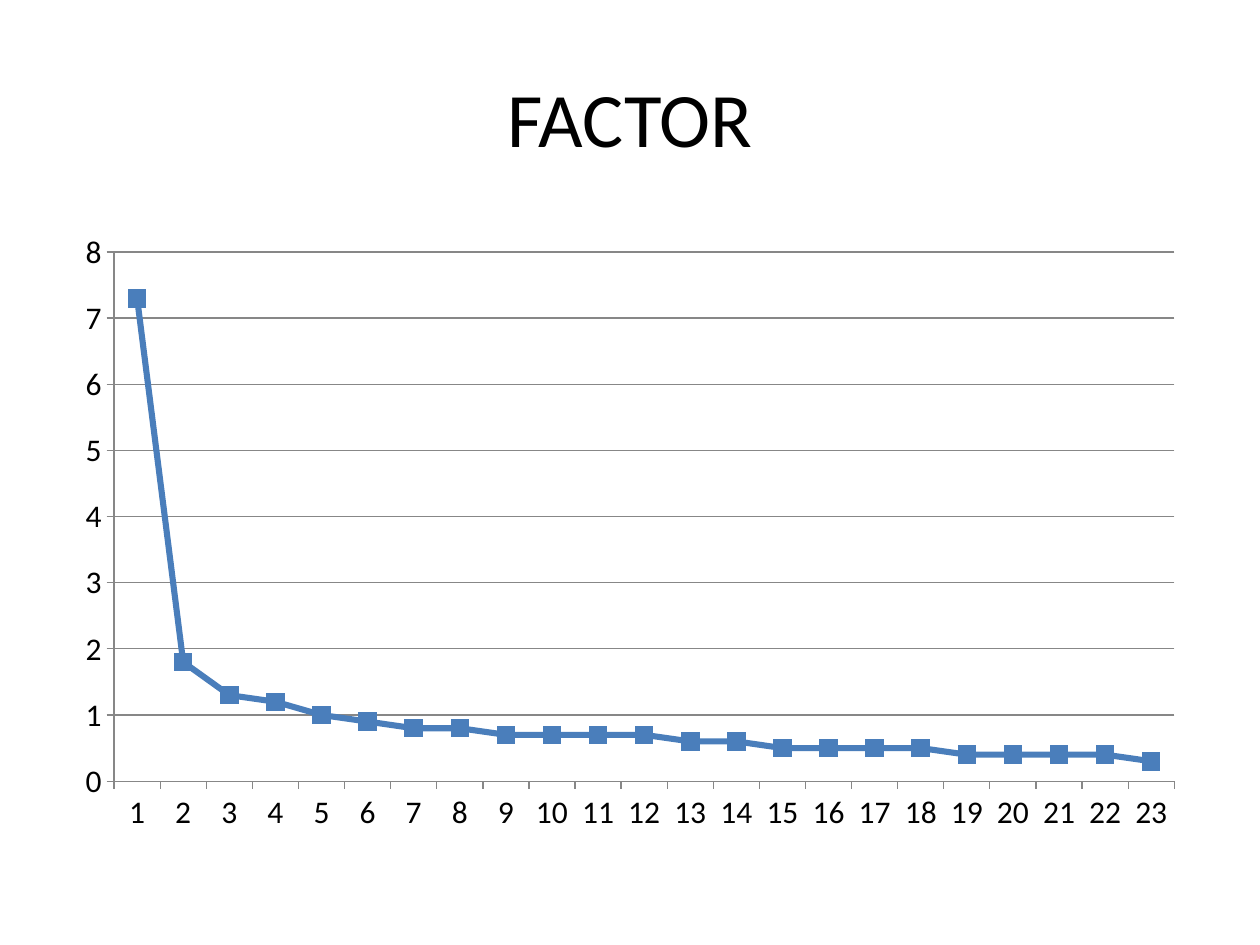
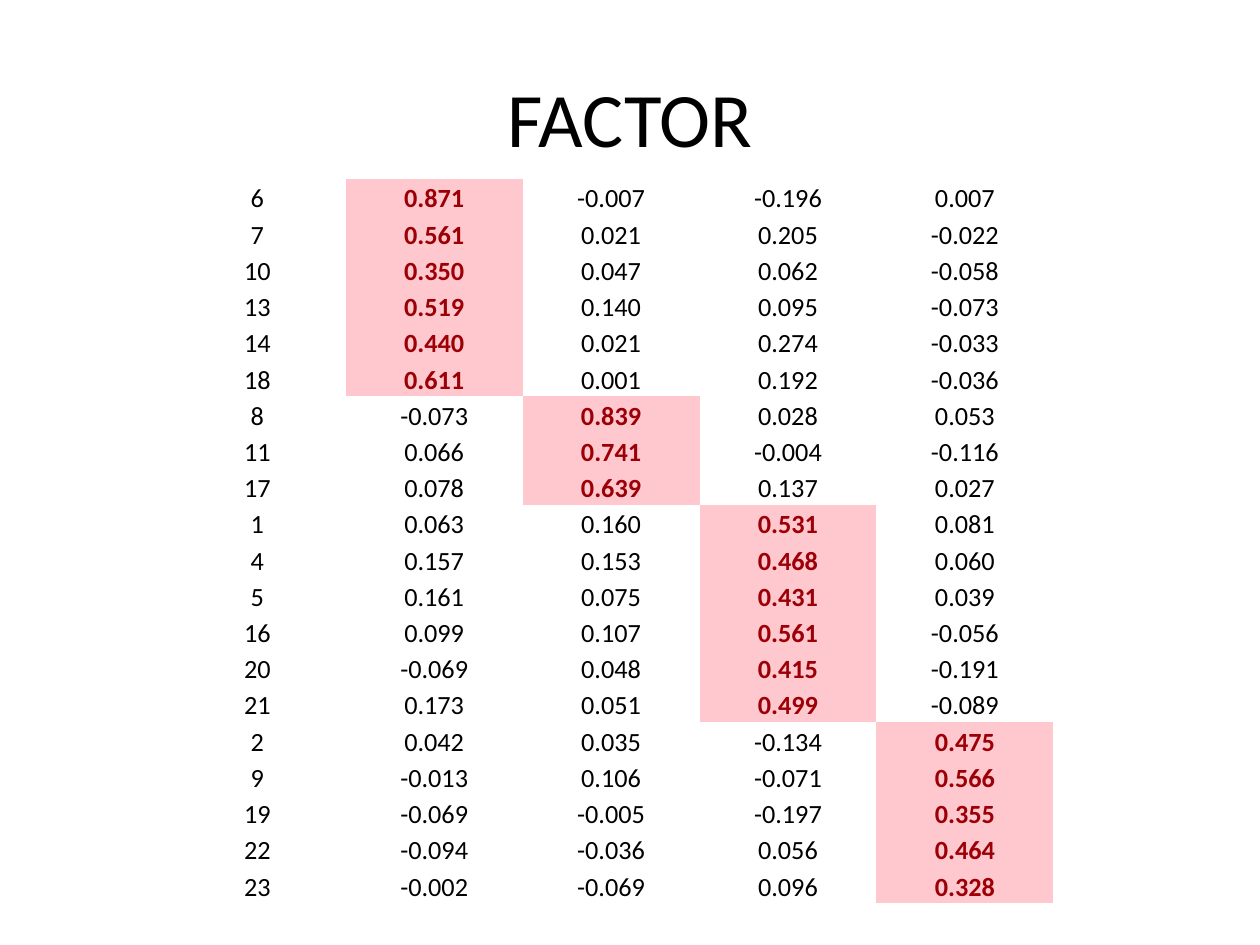
from pptx import Presentation
from pptx.chart.data import CategoryChartData
from pptx.dml.color import RGBColor
from pptx.enum.chart import XL_CHART_TYPE, XL_MARKER_STYLE, XL_TICK_MARK
from pptx.enum.text import MSO_ANCHOR, PP_ALIGN
from pptx.util import Emu, Pt

LINE_MARKERS = XL_CHART_TYPE.LINE_MARKERS
SQUARE = XL_MARKER_STYLE.SQUARE
OUTSIDE = XL_TICK_MARK.OUTSIDE
CENTER = PP_ALIGN.CENTER
MIDDLE, BOTTOM = MSO_ANCHOR.MIDDLE, MSO_ANCHOR.BOTTOM

EMU_PER_PX = 9144  # 100 px to the inch
TITLE_ONLY = 5
PLAIN_TABLE_STYLE = "{2D5ABB26-0587-4C30-8999-92F81FD0307C}"
FONT = "Calibri"
BLACK, BLUE, GRAY = "000000", "4A7EBB", "878787"
DARK_RED, PINK = "9C0006", "FFC7CE"

EIGENVALUES = [7.3, 1.8, 1.3, 1.2, 1, 0.9, 0.8, 0.8, 0.7, 0.7, 0.7, 0.7,
               0.6, 0.6, 0.5, 0.5, 0.5, 0.5, 0.4, 0.4, 0.4, 0.4, 0.3]

LOADING_CUTOFF = 0.3
# Item number, then its loading on each of the four factors
LOADINGS = [
    (6, 0.871, -0.007, -0.196, 0.007),
    (7, 0.561, 0.021, 0.205, -0.022),
    (10, 0.350, 0.047, 0.062, -0.058),
    (13, 0.519, 0.140, 0.095, -0.073),
    (14, 0.440, 0.021, 0.274, -0.033),
    (18, 0.611, 0.001, 0.192, -0.036),
    (8, -0.073, 0.839, 0.028, 0.053),
    (11, 0.066, 0.741, -0.004, -0.116),
    (17, 0.078, 0.639, 0.137, 0.027),
    (1, 0.063, 0.160, 0.531, 0.081),
    (4, 0.157, 0.153, 0.468, 0.060),
    (5, 0.161, 0.075, 0.431, 0.039),
    (16, 0.099, 0.107, 0.561, -0.056),
    (20, -0.069, 0.048, 0.415, -0.191),
    (21, 0.173, 0.051, 0.499, -0.089),
    (2, 0.042, 0.035, -0.134, 0.475),
    (9, -0.013, 0.106, -0.071, 0.566),
    (19, -0.069, -0.005, -0.197, 0.355),
    (22, -0.094, -0.036, 0.056, 0.464),
    (23, -0.002, -0.069, 0.096, 0.328),
]


def px(length):
    return Emu(length * EMU_PER_PX)


def color(hex_code):
    return RGBColor.from_string(hex_code)


def style_font(font, size, hex_code=BLACK, bold=False):
    font.name = FONT
    font.size = Pt(size)
    font.bold = bold
    font.color.rgb = color(hex_code)


def write_text(frame, text, size, **font_format):
    """Put one centred line of text into a text frame."""
    para = frame.paragraphs[0]
    para.alignment = CENTER
    span = para.add_run()
    span.text = text
    style_font(span.font, size, **font_format)


def add_titled_page(deck, title):
    page = deck.slides.add_slide(deck.slide_layouts[TITLE_ONLY])
    box = page.shapes.title
    box.left, box.top, box.width, box.height = map(px, (50, 30, 900, 125))
    box.text_frame.vertical_anchor = MIDDLE
    write_text(box.text_frame, title, 44)
    return page


def style_line(line, hex_code, width):
    line.color.rgb = color(hex_code)
    line.width = Pt(width)


def add_scree_chart(page, values, left, top, width, height):
    data = CategoryChartData()
    data.categories = range(1, len(values) + 1)
    data.add_series("Series 1", values)
    chart = page.shapes.add_chart(
        LINE_MARKERS, px(left), px(top), px(width), px(height), data).chart
    chart.has_legend = False
    chart.has_title = False
    style_font(chart.font, 18)

    for axis in (chart.category_axis, chart.value_axis):
        axis.major_tick_mark = OUTSIDE
        style_line(axis.format.line, GRAY, 0.75)
    chart.value_axis.has_major_gridlines = True
    style_line(chart.value_axis.major_gridlines.format.line, GRAY, 0.75)

    plot = chart.plots[0]
    plot.vary_by_categories = False
    series = plot.series[0]
    series.smooth = False
    style_line(series.format.line, BLUE, 3.5)
    marker = series.marker
    marker.style = SQUARE
    marker.size = 10
    marker.format.fill.solid()
    marker.format.fill.fore_color.rgb = color(BLUE)
    marker.format.line.color.rgb = color(BLUE)


def fill_cell(cell, text, highlighted):
    cell.margin_left = cell.margin_right = cell.margin_top = px(1)
    cell.margin_bottom = 0
    cell.vertical_anchor = BOTTOM
    if highlighted:
        cell.fill.solid()
        cell.fill.fore_color.rgb = color(PINK)
        write_text(cell.text_frame, text, 15, hex_code=DARK_RED, bold=True)
    else:
        cell.fill.background()
        write_text(cell.text_frame, text, 15)


def add_loading_table(page, rows, left, top, width, height):
    """Add the table, marking each loading above the cutoff."""
    table = page.shapes.add_table(
        len(rows), len(rows[0]), px(left), px(top), px(width), px(height)).table
    table.first_row = table.horz_banding = False
    table._tbl.tblPr.find("{*}tableStyleId").text = PLAIN_TABLE_STYLE
    for row_index, (item, *loadings) in enumerate(rows):
        fill_cell(table.cell(row_index, 0), str(item), False)
        for column, loading in enumerate(loadings, start=1):
            fill_cell(table.cell(row_index, column), f"{loading:.3f}",
                      loading > LOADING_CUTOFF)


def main():
    deck = Presentation()
    deck.slide_width, deck.slide_height = px(1000), px(750)

    scree_page = add_titled_page(deck, "FACTOR")
    add_scree_chart(scree_page, EIGENVALUES, 50, 175, 900, 495)

    loading_page = add_titled_page(deck, "FACTOR")
    add_loading_table(loading_page, LOADINGS, 134, 142, 702, 575)

    deck.save("out.pptx")


if __name__ == "__main__":
    main()
